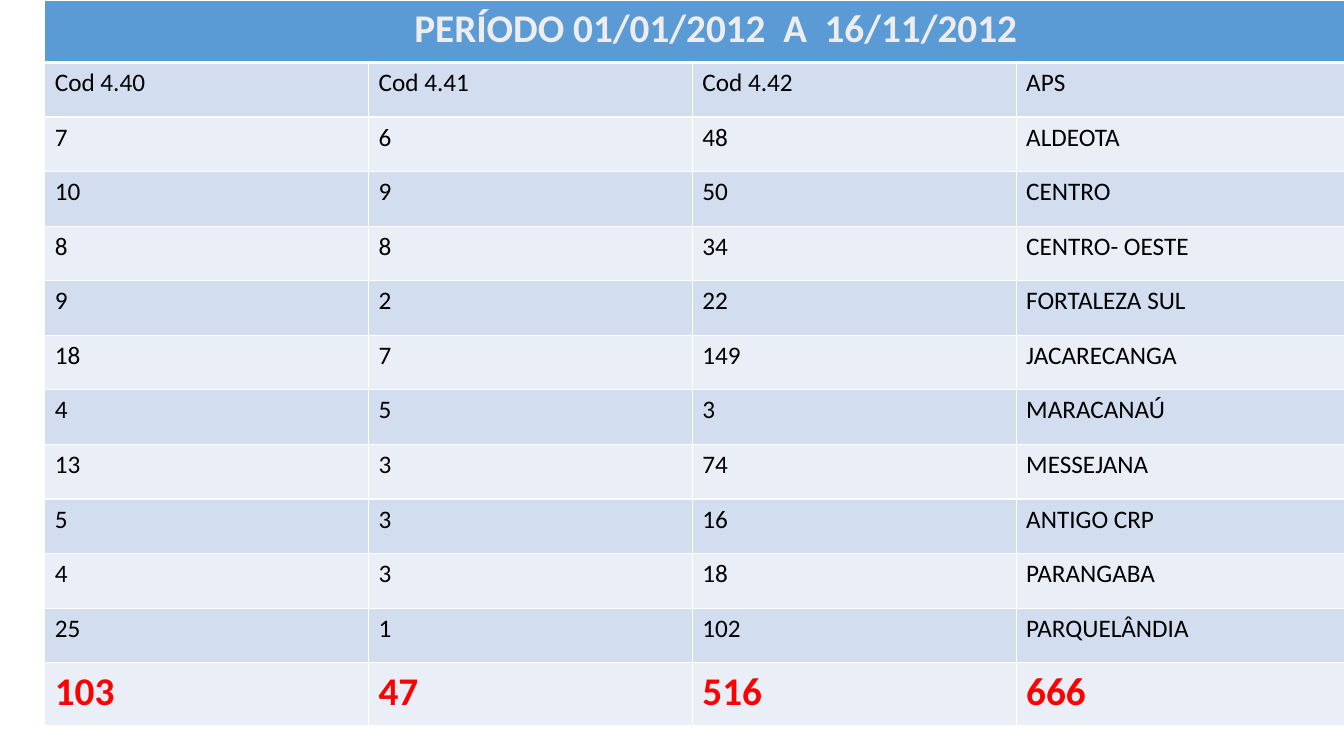
from lxml.etree import SubElement as Sub
from pptx import Presentation
from pptx.dml.color import RGBColor as RGB
from pptx.oxml.ns import qn
from pptx.util import Pt

BLUE = RGB(0x5B, 0x9B, 0xD5)
BANDS = RGB(0xEA, 0xEF, 0xF7), RGB(0xD2, 0xDE, 0xEF)
WHITE = RGB(0xFF, 0xFF, 0xFF)
PALE = RGB(0xED, 0xED, 0xED)
BLACK = RGB(0, 0, 0)
RED = RGB(0xFF, 0, 0)

HEAD = "PERÍODO 01/01/2012  A  16/11/2012"
ROWS = [
    ("Cod 4.40", "Cod 4.41", "Cod 4.42", "APS"),
    (7, 6, 48, "ALDEOTA"),
    (10, 9, 50, "CENTRO"),
    (8, 8, 34, "CENTRO- OESTE"),
    (9, 2, 22, "FORTALEZA SUL"),
    (18, 7, 149, "JACARECANGA"),
    (4, 5, 3, "MARACANAÚ"),
    (13, 3, 74, "MESSEJANA"),
    (5, 3, 16, "ANTIGO CRP"),
    (4, 3, 18, "PARANGABA"),
    (25, 1, 102, "PARQUELÂNDIA"),
    (103, 47, 516, 666),
]
WIDTHS = [231.3, 231.3, 231.3, 172.2]
TALL, ROW = 44.64, 39


def add_edges(cell, top=1, bottom=1):
    """Draw the white lines around a cell; call before filling it."""
    props = cell._tc.get_or_add_tcPr()
    sides = {"lnL": 1, "lnR": 1, "lnT": top, "lnB": bottom}
    for side, width in sides.items():
        line = Sub(props, qn(f"a:{side}"), w=str(Pt(width)))
        fill = Sub(line, qn("a:solidFill"))
        Sub(fill, qn("a:srgbClr"), val=str(WHITE))


def paint(cell, color):
    cell.fill.solid()
    cell.fill.fore_color.rgb = color


def write(cell, text, size, color, bold):
    cell.text_frame.text = str(text)
    font = cell.text_frame.paragraphs[0].runs[0].font
    font.name = "Calibri"
    font.size = Pt(size)
    font.bold = bold
    font.color.rgb = color


def add_head(table):
    cells = [table.cell(0, col) for col in range(len(WIDTHS))]
    for cell in cells:
        add_edges(cell, bottom=3)
        paint(cell, BLUE)
    cells[0].merge(cells[-1])
    cells[0].margin_left = Pt(264)
    write(cells[0], HEAD, 28, PALE, True)


def add_rows(table):
    last = len(ROWS)
    for row, values in enumerate(ROWS, 1):
        style = (28, RED, True) if row == last else (18, BLACK, False)
        for col, value in enumerate(values):
            cell = table.cell(row, col)
            add_edges(cell, top=3 if row == 1 else 1)
            paint(cell, BANDS[row % 2])
            write(cell, value, *style)


def add_grid(slide):
    highs = [TALL] + [ROW] * (len(ROWS) - 1) + [TALL]
    frame = slide.shapes.add_table(
        len(highs), len(WIDTHS), Pt(32), Pt(0), Pt(sum(WIDTHS)), Pt(sum(highs)))
    table = frame.table
    for col, width in zip(table.columns, WIDTHS):
        col.width = Pt(width)
    for row, high in zip(table.rows, highs):
        row.height = Pt(high)
    return table


def main():
    deck = Presentation()
    deck.slide_width, deck.slide_height = Pt(960), Pt(540)
    # Blank layout: the heading is the table's first row
    slide = deck.slides.add_slide(deck.slide_layouts[6])
    table = add_grid(slide)
    add_head(table)
    add_rows(table)
    deck.save("out.pptx")


if __name__ == "__main__":
    main()
